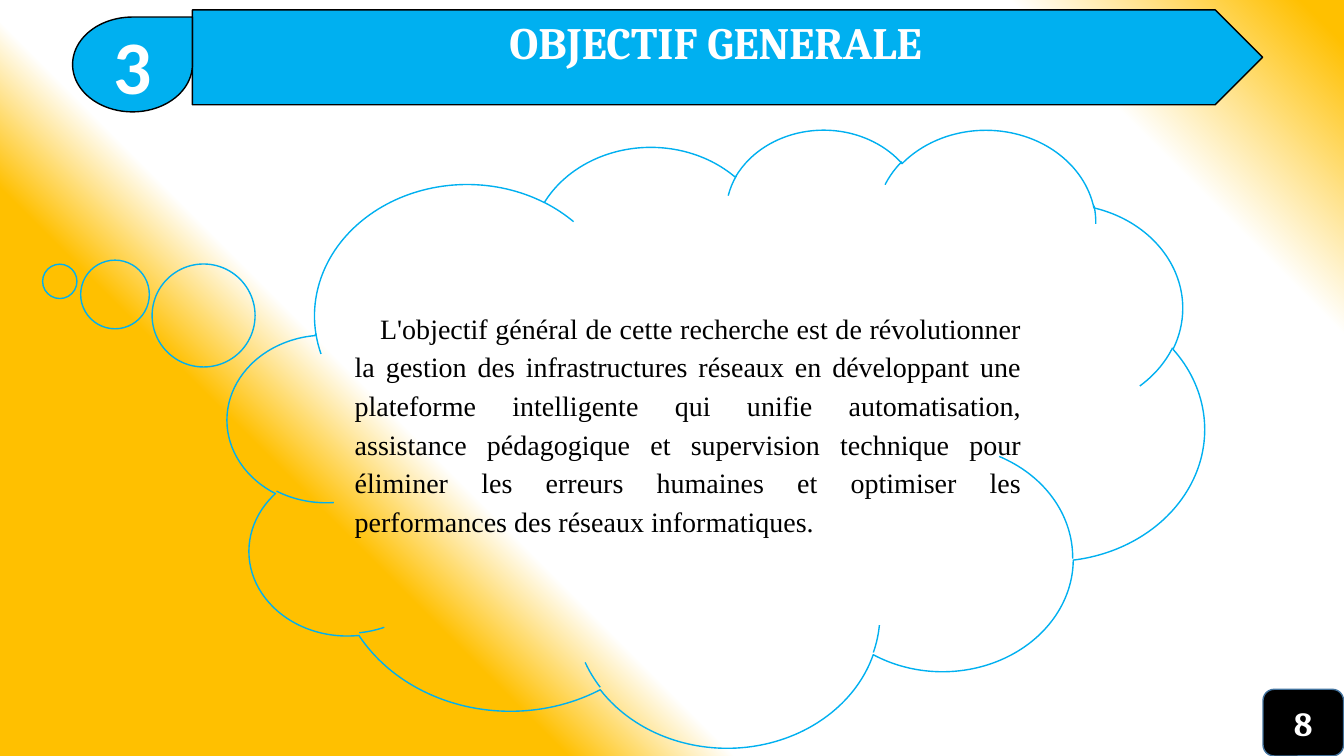
import pptx
import pptx.dml.color
import pptx.enum.shapes
import pptx.enum.text
import pptx.oxml
import pptx.oxml.ns
import pptx.util

Cm, Pt = pptx.util.Cm, pptx.util.Pt
SHAPE = pptx.enum.shapes.MSO_SHAPE
ALIGN = pptx.enum.text.PP_ALIGN
ANCHOR = pptx.enum.text.MSO_ANCHOR
COLORS = {"amber": "FFC000", "white": "FFFFFF", "sky": "00B0F0",
          "black": "000000", "navy": "43739E"}


def write(shape, text, font_name, size, color, bold=True, align=ALIGN.CENTER):
    shape.text_frame.text = text
    paragraph = shape.text_frame.paragraphs[0]
    paragraph.alignment = align
    font = paragraph.runs[0].font
    font.name, font.size, font.bold = font_name, Pt(size), bold
    font.color.rgb = pptx.dml.color.RGBColor.from_string(COLORS[color])
    return paragraph


def draw(shapes, kind, box, fill, line):
    shape = shapes.add_shape(kind, *[Cm(length) for length in box])
    shape.shadow.inherit = False
    if fill:
        shape.fill.solid()
        shape.fill.fore_color.rgb = pptx.dml.color.RGBColor.from_string(COLORS[fill])
    else:
        shape.fill.background()
    shape.line.color.rgb = pptx.dml.color.RGBColor.from_string(COLORS[line])
    shape.line.width = Pt(1)
    return shape


presentation = pptx.Presentation()
presentation.slide_width, presentation.slide_height = Cm(33.87), Cm(19.05)
slide = presentation.slides.add_slide(presentation.slide_layouts[6])

# Background: circular gradient spreading from the bottom left corner
stops = [(7, "amber"), (15, "amber"), (27, "amber"),
         (35, "white"), (84, "white"), (98, "amber")]
stop_xml = "".join(f'<a:gs pos="{position * 1000}"><a:srgbClr val="{COLORS[color]}"/></a:gs>'
                   for position, color in stops)
gradient = pptx.oxml.parse_xml(
    f'<a:gradFill {pptx.oxml.ns.nsdecls("a")} rotWithShape="1"><a:gsLst>{stop_xml}</a:gsLst>'
    '<a:path path="circle"><a:fillToRect t="100000" r="100000"/></a:path></a:gradFill>')
slide.background.fill.solid()
solid = slide.element.find(".//" + pptx.oxml.ns.qn("p:bgPr"))[0]
solid.getparent().replace(solid, gradient)

# Thought cloud
cloud = draw(slide.shapes, SHAPE.CLOUD_CALLOUT, (5.74, 3.23, 24.61, 15.57), None, "sky")
cloud.adjustments[0], cloud.adjustments[1] = -0.672, -0.252

# Page number
page_number = draw(slide.shapes, SHAPE.ROUNDED_RECTANGLE,
                   (31.83, 17.37, 2.03, 1.68), "black", "navy")
page_number.text_frame.vertical_anchor = ANCHOR.MIDDLE
write(page_number, "8", "Cambria", 24, "white")

# Objective
objective = slide.shapes.add_textbox(Cm(8.69), Cm(7.59), Cm(17.3), Cm(6.07))
objective.text_frame.word_wrap = True
objective.text_frame.auto_size = pptx.enum.text.MSO_AUTO_SIZE.SHAPE_TO_FIT_TEXT
paragraph = write(
    objective,
    "L'objectif général de cette recherche est de révolutionner la gestion des "
    "infrastructures réseaux en développant une plateforme intelligente qui unifie "
    "automatisation, assistance pédagogique et supervision technique pour éliminer "
    "les erreurs humaines et optimiser les performances des réseaux informatiques.",
    "Times New Roman", 20, "black", bold=False, align=ALIGN.JUSTIFY)
paragraph.line_spacing = 1.15
paragraph.space_after = Pt(8)
paragraph._p.get_or_add_pPr().set("indent", str(Cm(0.64)))

# Title banner with section number
banner = slide.shapes.add_group_shape()
title = draw(banner.shapes, SHAPE.PENTAGON, (4.85, 0.25, 26.97, 2.39), "sky", "black")
title.text_frame.vertical_anchor = ANCHOR.TOP
write(title, "OBJECTIF GENERALE", "Cambria", 32, "white")
section = draw(banner.shapes, SHAPE.TEAR, (1.83, 0.43, 3.02, 2.39), "sky", "black")
section.text_frame.vertical_anchor = ANCHOR.MIDDLE
write(section, "3", "Calibri", 54, "white")

presentation.save("out.pptx")
